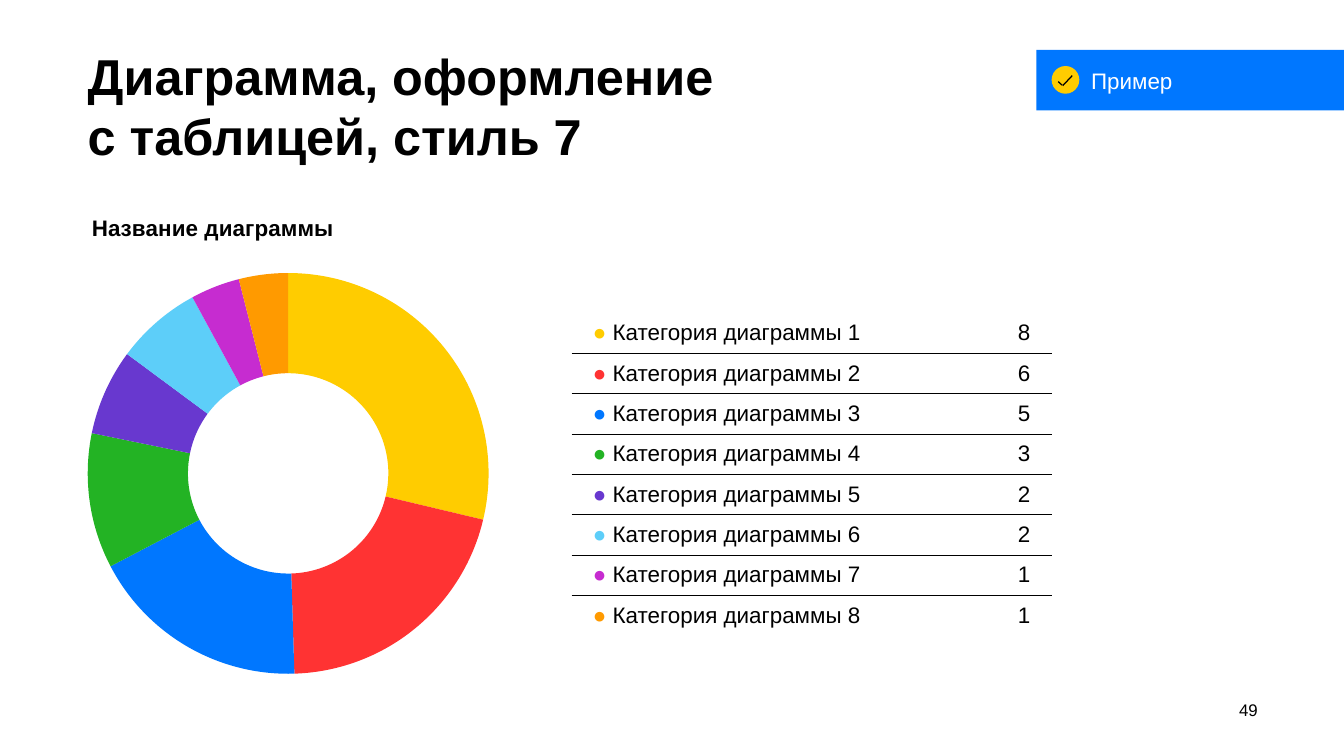
from lxml import etree
from pptx import Presentation
from pptx import util as u
from pptx.chart import data as cd
from pptx.dml.color import RGBColor
from pptx.enum import chart as ch, shapes as sh, text as tx
from pptx.oxml import parse_xml
from pptx.oxml.ns import nsdecls, qn

Pt = u.Pt
HUES = {"ink": "000000", "paper": "FFFFFF", "gold": "FFCC00", "red": "FF3333",
        "blue": "0077FF", "green": "23B324", "plum": "6838CF", "sky": "5DCEF9",
        "pink": "C62CD0", "amber": "FF9A00"}
TITLE = "Диаграмма, оформление\vс таблицей, стиль 7"
HEAD = "Название диаграммы"
BADGE = "Пример"
PAGE = "49"
LABEL = "Категория диаграммы"
ROWS = [("gold", 8, 29), ("red", 6, 21), ("blue", 5, 18), ("green", 3, 11),
        ("plum", 2, 7), ("sky", 2, 7), ("pink", 1, 4), ("amber", 1, 4)]
COLS = (563.76, 121.68)
HIGH = 57.6
TICK = [((1511.3, 116.6), (1517, 121.7)), ((1517.8, 122.4), (1531.4, 108))]
PLOT = {"layoutTarget": "inner", "xMode": "edge", "yMode": "edge",
        "x": 0, "y": 0.17, "w": 0.71, "h": 0.83}
SPOT = {"xMode": "edge", "yMode": "edge", "x": 0, "y": 0.04}
LEFT, RIGHT = tx.PP_ALIGN.LEFT, tx.PP_ALIGN.RIGHT
TOP, MID = tx.MSO_ANCHOR.TOP, tx.MSO_ANCHOR.MIDDLE


def put(obj, **fmt):
    for key, val in fmt.items():
        setattr(obj, key, val)


def hue(name):
    return RGBColor.from_string(HUES[name])


def ink(font, size, name="ink", bold=False):
    put(font, name="Arial", size=Pt(size), bold=bold)
    font.color.rgb = hue(name)


def pad(obj, sides, anchor):
    keys = ("margin_left", "margin_top", "margin_right", "margin_bottom")
    put(obj, vertical_anchor=anchor, **dict(zip(keys, map(Pt, sides))))


def write(shape, words, size, sides, name="ink", bold=False, align=LEFT, anchor=MID):
    frame = shape.text_frame
    put(frame, word_wrap=True, text=words)
    pad(frame, sides, anchor)
    para = frame.paragraphs[0]
    para.alignment = align
    ink(para.font, size, name, bold)
    return para


def block(home, kind, box, name):
    shape = home.add_shape(kind, *map(Pt, box))
    shape.shadow.inherit = False
    shape.fill.solid()
    shape.fill.fore_color.rgb = hue(name)
    shape.line.fill.background()
    return shape


def place(node, vals):
    old = node.find(qn("c:layout"))
    if old is not None:
        node.remove(old)
    tags = "".join(f'<c:{key} val="{val}"/>' for key, val in vals.items())
    return parse_xml(f'<c:layout {nsdecls("c")}><c:manualLayout>{tags}'
                     '</c:manualLayout></c:layout>')


def rule(cell, side):
    line = parse_xml(f'<a:{side} {nsdecls("a")} w="12700"><a:solidFill>'
                     f'<a:srgbClr val="{HUES["ink"]}"/></a:solidFill></a:{side}>')
    cell._tc.get_or_add_tcPr().insert(0, line)


def ring(home):
    data = cd.CategoryChartData()
    data.categories = [str(n) for n in range(1, len(ROWS) + 1)]
    data.add_series("Series 1", [row[2] for row in ROWS])
    box = map(Pt, (125.28, 270.72, 806.4, 693.36))
    chart = home.add_chart(ch.XL_CHART_TYPE.DOUGHNUT, *box, data).chart
    put(chart, has_legend=False, has_title=True)
    ink(chart.font, 10)
    title = chart.chart_title
    title.include_in_layout = False
    frame = title.text_frame
    frame.text = HEAD
    ink(frame.paragraphs[0].runs[0].font, 32, bold=True)
    node = title._element
    spot = place(node, SPOT)
    node.find(qn("c:tx")).addnext(spot)
    plot = chart.plots[0]
    plot.vary_by_categories = True
    area = plot._element.getparent()
    area.insert(0, place(area, PLOT))
    plot._element.find(qn("c:holeSize")).set("val", "65")
    for n, row in enumerate(ROWS):
        part = plot.series[0].points[n].format
        part.fill.solid()
        part.fill.fore_color.rgb = hue(row[0])
        part.line.fill.background()


def grid(home):
    box = map(Pt, (816.48, 447.12, sum(COLS), HIGH * len(ROWS)))
    table = home.add_table(len(ROWS), len(COLS), *box).table
    put(table, first_row=False, horz_banding=False)
    style = table._tbl.tblPr.find(qn("a:tableStyleId"))
    style.text = "{2D5ABB26-0587-4C30-8999-92F81FD0307C}"
    for col, wide in zip(table.columns, COLS):
        col.width = Pt(wide)
    for n, (name, count, _) in enumerate(ROWS):
        table.rows[n].height = Pt(HIGH)
        texts = [(LEFT, [("● ", name), (f"{LABEL} {n + 1}", "ink")]),
                 (RIGHT, [(str(count), "ink")])]
        for cell, (align, runs) in zip(table.rows[n].cells, texts):
            cell.fill.background()
            pad(cell, (30.24, 8.64, 30.24, 8.64), MID)
            para = cell.text_frame.paragraphs[0]
            para.alignment = align
            for words, shade in runs:
                run = para.add_run()
                run.text = words
                ink(run.font, 32, shade)
            if n < len(ROWS) - 1:
                rule(cell, "lnB")
            if n:
                rule(cell, "lnT")


def badge(home):
    group = home.add_group_shape().shapes
    bar = block(group, sh.MSO_SHAPE.RECTANGLE, (1480.3, 71.28, 439.2, 86.4), "blue")
    write(bar, BADGE, 32, (78, 17.28, 7.2, 17.28), "paper")
    block(group, sh.MSO_SHAPE.OVAL, (1501.92, 94.32, 39.6, 39.6), "gold")
    for start, end in TICK:
        line = group.add_connector(sh.MSO_CONNECTOR.STRAIGHT, *map(Pt, start + end))
        line.line.color.rgb = hue("ink")
        line.line.width = Pt(1.75)
        etree.SubElement(line._element.spPr, qn("a:effectLst"))


def main():
    deck = Presentation()
    put(deck, slide_width=Pt(1919.52), slide_height=Pt(1080))
    home = deck.slides.add_slide(deck.slide_layouts[6]).shapes
    page = home.add_textbox(*map(Pt, (1710, 993.6, 86.4, 34.56)))
    write(page, PAGE, 24, (0, 5.76, 0, 0), align=RIGHT)
    title = home.add_textbox(*map(Pt, (125.28, 43.2, 1671.84, 114.48)))
    para = write(title, TITLE, 72, (0, 22, 0, 0), bold=True, anchor=TOP)
    para.line_spacing = Pt(86)
    ring(home)
    grid(home)
    badge(home)
    deck.save("out.pptx")


if __name__ == "__main__":
    main()
